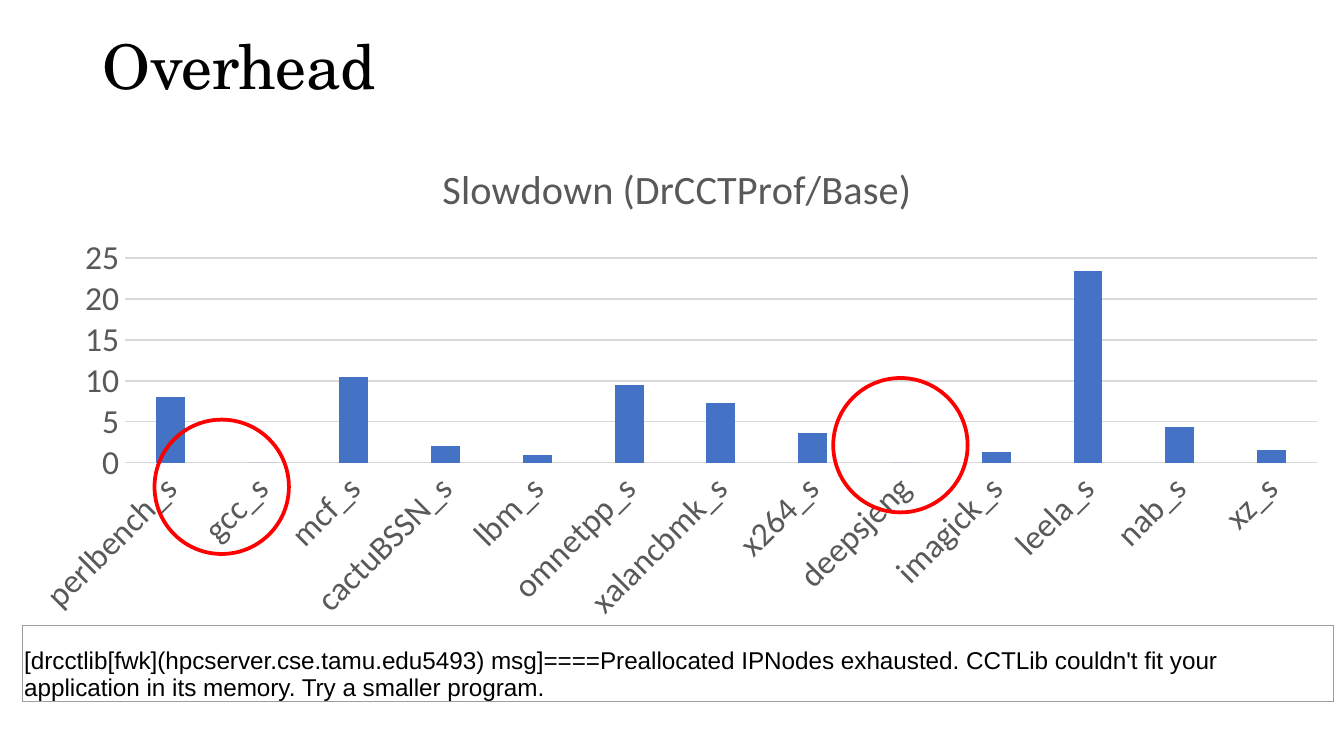
import pptx
import pptx.chart.data
import pptx.dml.color
import pptx.enum.chart
import pptx.enum.shapes
import pptx.enum.text
import pptx.oxml
import pptx.oxml.ns
import pptx.util

RGBColor = pptx.dml.color.RGBColor
BLACK = RGBColor(0x00, 0x00, 0x00)
GRAY = RGBColor(0x59, 0x59, 0x59)
GRID = RGBColor(0xD9, 0xD9, 0xD9)
BORDER = RGBColor(0x9E, 0x9E, 0x9E)
BLUE = RGBColor(0x44, 0x72, 0xC4)
RED = RGBColor(0xFF, 0x00, 0x00)

WIDTH = 10
HEIGHT = WIDTH * 9 / 16
HEADING = "Overhead"
CHART_TITLE = "Slowdown (DrCCTProf/Base)"
SLOWDOWNS = {
    "perlbench_s": 8, "gcc_s": 0, "mcf_s": 10.5, "cactuBSSN_s": 2,
    "lbm_s": 1, "omnetpp_s": 9.5, "xalancbmk_s": 7.3, "x264_s": 3.6,
    "deepsjeng": 0, "imagick_s": 1.3, "leela_s": 23.4, "nab_s": 4.4,
    "xz_s": 1.6,
}
MESSAGE = (
    "[drcctlib[fwk](hpcserver.cse.tamu.edu5493) msg]====Preallocated IPNodes "
    "exhausted. CCTLib couldn't fit your application in its memory. "
    "Try a smaller program."
)
HEADING_BOX = (0.069, -0.005, 0.862, 0.193)
CHART_BOX = (0.008, 0.18, 0.992, 0.655)
MESSAGE_BOX = (0.017, 0.827, 0.975, 0.101)
FAILED_RUN_CENTERS = [(0.165, 0.644), (0.67, 0.589)]
RING_SIZE = 1


def place(box):
    return [pptx.util.Inches(share * side)
            for share, side in zip(box, (WIDTH, HEIGHT) * 2)]


def style_font(font, size, name, color):
    font.size = pptx.util.Pt(size)
    font.name = name
    font.bold = False
    font.color.rgb = color


def write(frame, text, size, name, color=BLACK, spacing=None):
    frame.word_wrap = True
    paragraph = frame.paragraphs[0]
    paragraph.line_spacing = spacing
    run = paragraph.add_run()
    run.text = text
    style_font(run.font, size, name, color)


def style_line(line, color, width):
    line.color.rgb = color
    line.width = pptx.util.Pt(width)


def add_heading(slide):
    frame = slide.shapes.add_textbox(*place(HEADING_BOX)).text_frame
    frame.vertical_anchor = pptx.enum.text.MSO_ANCHOR.MIDDLE
    frame.margin_left = frame.margin_right = pptx.util.Inches(0.07)
    frame.margin_top = frame.margin_bottom = pptx.util.Inches(0.04)
    write(frame, HEADING, size=33, name="TeX Gyre Schola", spacing=0.9)


def add_slowdown_chart(slide):
    slowdown_data = pptx.chart.data.CategoryChartData()
    slowdown_data.categories = list(SLOWDOWNS)
    slowdown_data.add_series(CHART_TITLE, list(SLOWDOWNS.values()))
    chart = slide.shapes.add_chart(
        pptx.enum.chart.XL_CHART_TYPE.COLUMN_CLUSTERED,
        *place(CHART_BOX), slowdown_data).chart
    style_font(chart.font, 18, "Calibri", BLACK)
    chart.has_legend = False
    chart.has_title = True
    write(chart.chart_title.text_frame, CHART_TITLE,
          size=21.6, name="Calibri", color=GRAY)
    chart.chart_title.include_in_layout = False

    plot = chart.plots[0]
    plot.gap_width = 219
    plot.overlap = -27
    plot.vary_by_categories = False
    bars = plot.series[0]
    bars.invert_if_negative = False
    bars.format.fill.solid()
    bars.format.fill.fore_color.rgb = BLUE

    for axis in (chart.category_axis, chart.value_axis):
        axis.major_tick_mark = pptx.enum.chart.XL_TICK_MARK.NONE
        axis.minor_tick_mark = pptx.enum.chart.XL_TICK_MARK.NONE
        style_font(axis.tick_labels.font, 18, "Calibri", GRAY)
    style_line(chart.category_axis.format.line, GRID, 0.75)
    chart.value_axis.format.line.fill.background()
    chart.value_axis.has_major_gridlines = True
    style_line(chart.value_axis.major_gridlines.format.line, GRID, 0.75)
    chart.value_axis.minimum_scale = 0
    chart.value_axis.maximum_scale = 25
    chart.value_axis.major_unit = 5
    label_body = chart.category_axis._element.xpath("c:txPr/a:bodyPr")[0]
    label_body.set("rot", "-2700000")
    label_body.set("vert", "horz")


def add_message(slide):
    table = slide.shapes.add_table(1, 1, *place(MESSAGE_BOX)).table
    table.first_row = table.horz_banding = False
    cell = table.cell(0, 0)
    cell.vertical_anchor = pptx.enum.text.MSO_ANCHOR.BOTTOM
    cell.margin_left = cell.margin_right = pptx.util.Inches(0.01)
    cell.margin_top = pptx.util.Inches(0.01)
    cell.margin_bottom = 0
    write(cell.text_frame, MESSAGE, size=13, name="Arial")
    properties = cell._tc.get_or_add_tcPr()
    for side in ("lnL", "lnR", "lnT", "lnB"):
        properties.append(pptx.oxml.parse_xml(
            f'<a:{side} {pptx.oxml.ns.nsdecls("a")} w="{pptx.util.Pt(0.75)}">'
            f'<a:solidFill><a:srgbClr val="{BORDER}"/></a:solidFill>'
            f'</a:{side}>'))
    cell.fill.background()


def add_failed_run_rings(slide):
    width, height = RING_SIZE / WIDTH, RING_SIZE / HEIGHT
    for x, y in FAILED_RUN_CENTERS:
        ring = slide.shapes.add_shape(
            pptx.enum.shapes.MSO_SHAPE.OVAL,
            *place((x - width / 2, y - height / 2, width, height)))
        ring.shadow.inherit = False
        ring.fill.background()
        style_line(ring.line, RED, 2)


def main():
    deck = pptx.Presentation()
    deck.slide_width = pptx.util.Inches(WIDTH)
    deck.slide_height = pptx.util.Inches(HEIGHT)
    slide = deck.slides.add_slide(deck.slide_layouts[6])
    add_heading(slide)
    add_slowdown_chart(slide)
    add_message(slide)
    add_failed_run_rings(slide)
    deck.save("out.pptx")


if __name__ == "__main__":
    main()
